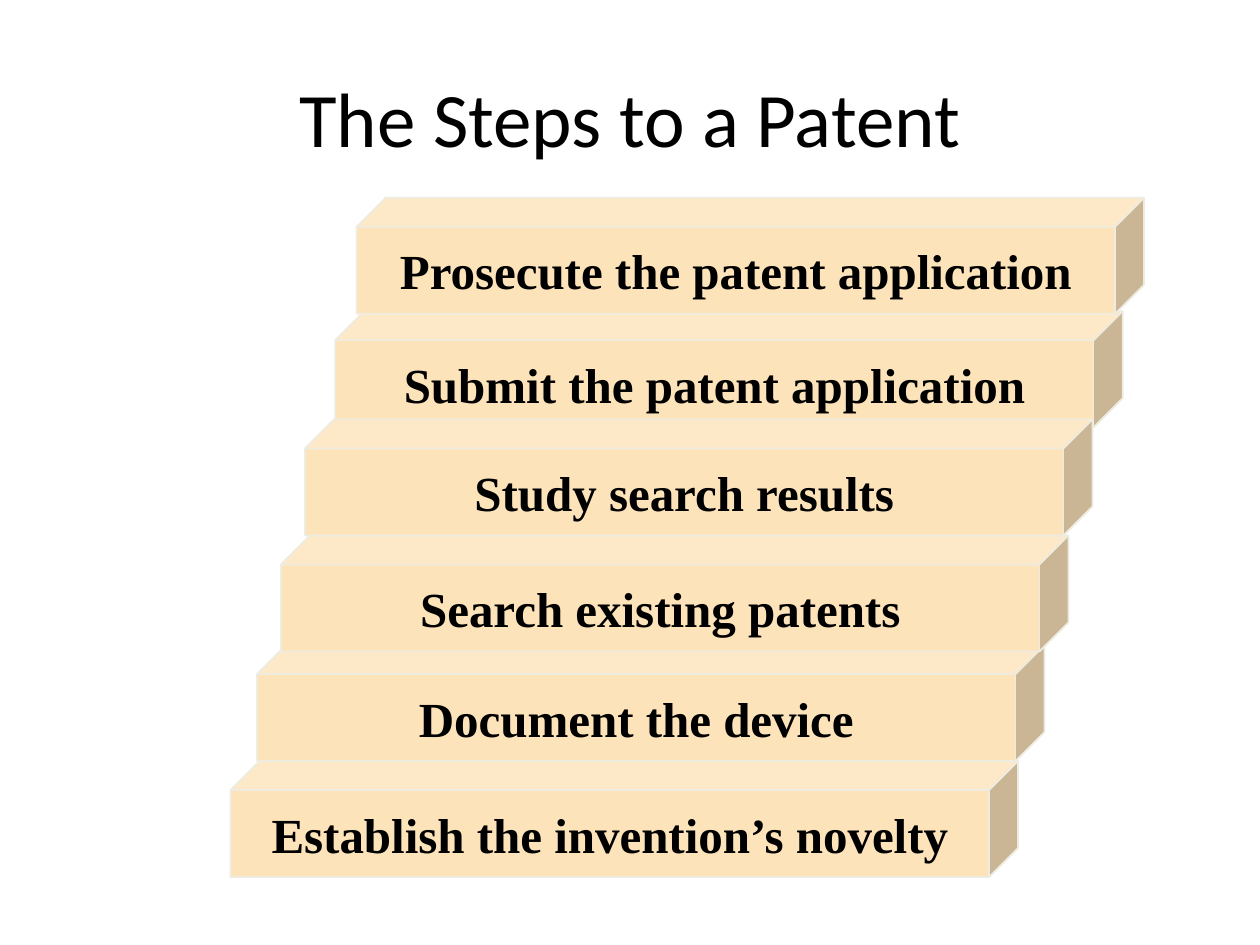
from typing import NamedTuple

from pptx import Presentation
from pptx.dml.color import RGBColor
from pptx.enum.shapes import MSO_SHAPE
from pptx.enum.text import MSO_ANCHOR, PP_ALIGN
from pptx.util import Inches, Pt

CUBE = MSO_SHAPE.CUBE
MIDDLE = MSO_ANCHOR.MIDDLE
CENTER = PP_ALIGN.CENTER

BLACK = RGBColor(0x00, 0x00, 0x00)
SAND = RGBColor(0xFD, 0xE3, 0xBA)
IVORY = RGBColor(0xEE, 0xEC, 0xE1)

STEP_WIDTH = 6.25
STEP_HEIGHT = 0.92
BLANK_LAYOUT = 6


class Step(NamedTuple):
    text: str
    left: float
    top: float


# Listed from back to front
STEPS = [
    Step("Establish the invention’s novelty", 1.83, 6.04),
    Step("Document the device", 2.04, 5.12),
    Step("Search existing patents", 2.23, 4.25),
    Step("Submit the patent application", 2.66, 2.47),
    Step("Prosecute the patent application", 2.83, 1.57),
    Step("Study search results", 2.42, 3.33),
]


def write_text(shape, text: str, font_name: str, size: int, bold: bool, wrap: bool) -> None:
    frame = shape.text_frame
    frame.word_wrap = wrap
    frame.vertical_anchor = MIDDLE
    paragraph = frame.paragraphs[0]
    paragraph.text = text
    paragraph.alignment = CENTER
    font = paragraph.font
    font.name = font_name
    font.size = Pt(size)
    font.bold = bold
    font.color.rgb = BLACK


def add_title(slide, text: str) -> None:
    title = slide.shapes.add_textbox(Inches(0.5), Inches(0.3), Inches(9), Inches(1.25))
    write_text(title, text, "Calibri", 44, bold=False, wrap=True)


def add_step(slide, step: Step) -> None:
    cube = slide.shapes.add_shape(
        CUBE, Inches(step.left), Inches(step.top), Inches(STEP_WIDTH), Inches(STEP_HEIGHT)
    )
    cube.adjustments[0] = 0.25
    cube.shadow.inherit = False
    cube.fill.solid()
    cube.fill.fore_color.rgb = SAND
    cube.line.color.rgb = IVORY
    cube.line.width = Pt(1)
    write_text(cube, step.text, "Times New Roman", 28, bold=True, wrap=False)


def main() -> None:
    presentation = Presentation()
    presentation.slide_width = Inches(10)
    presentation.slide_height = Inches(7.5)
    slide = presentation.slides.add_slide(presentation.slide_layouts[BLANK_LAYOUT])
    add_title(slide, "The Steps to a Patent")
    for step in STEPS:
        add_step(slide, step)
    presentation.save("out.pptx")


if __name__ == "__main__":
    main()
